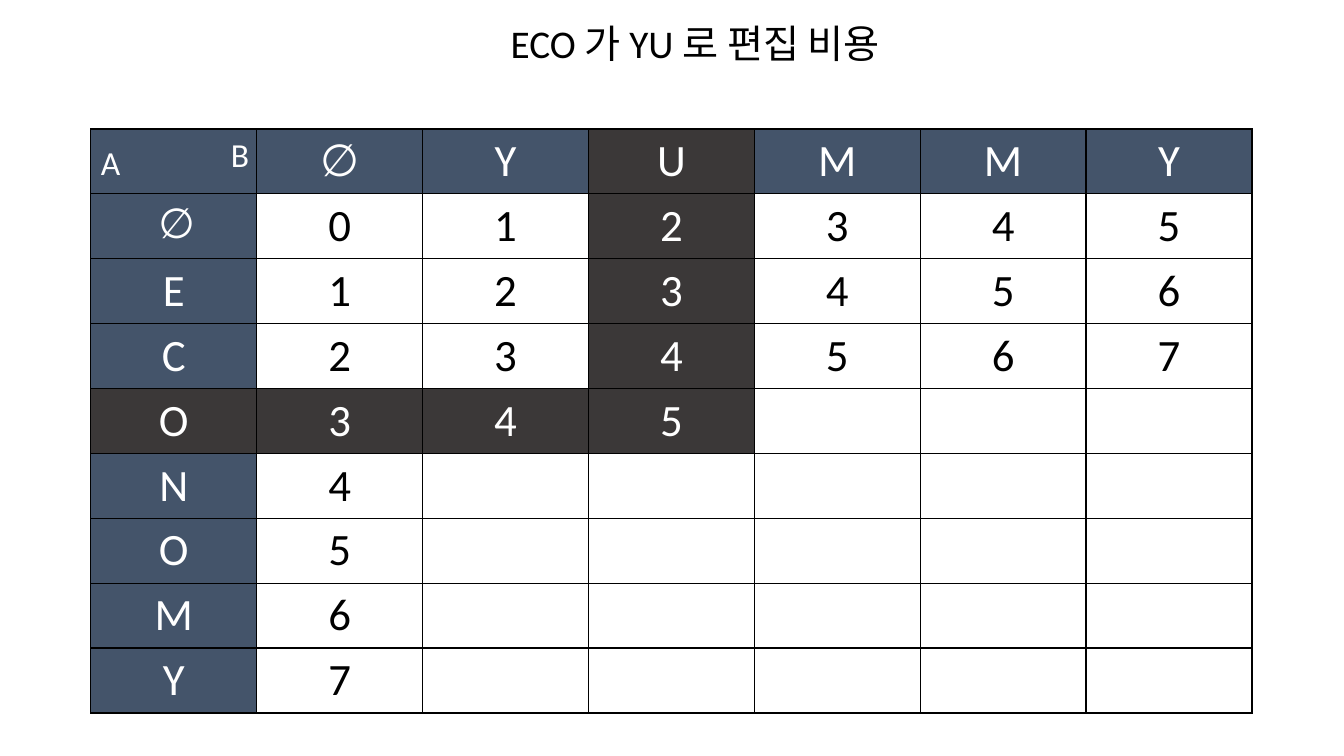
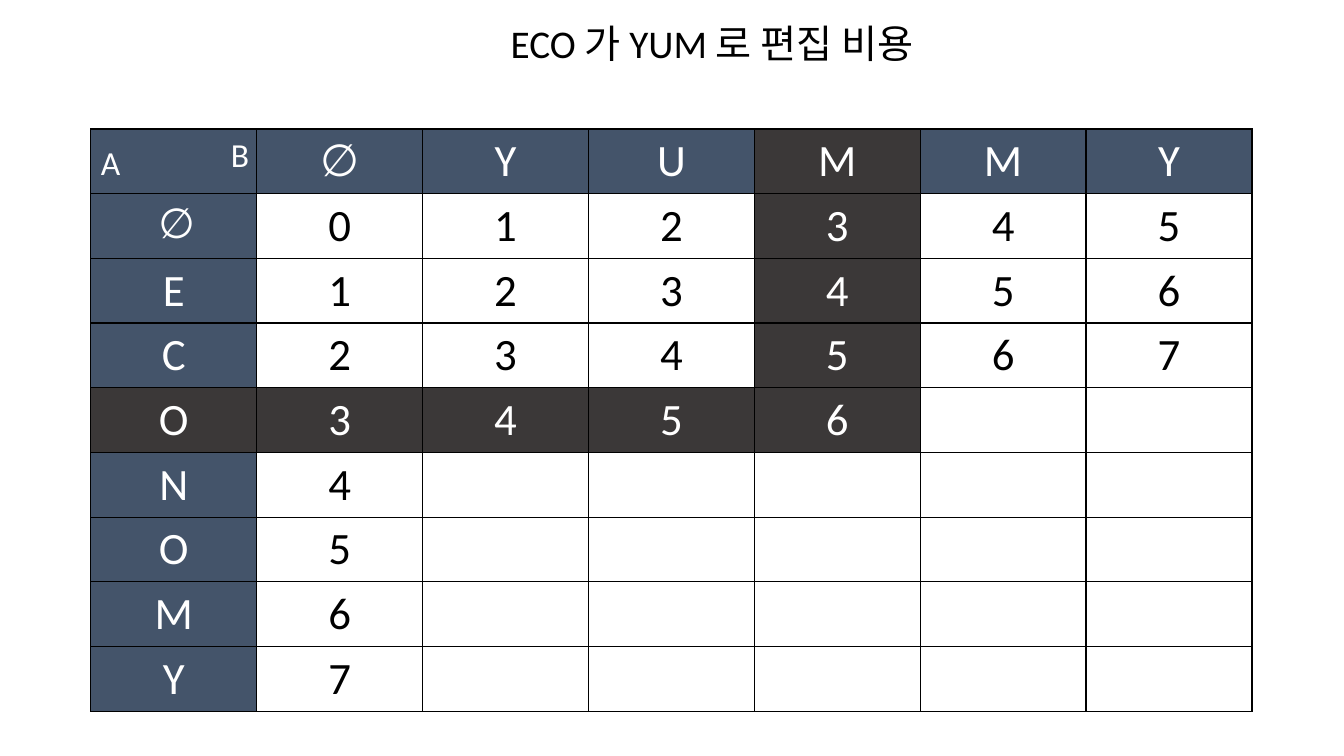
import pptx
import pptx.dml.color
import pptx.enum.text
import pptx.oxml
import pptx.oxml.ns
import pptx.util

Cm = pptx.util.Cm
ALIGN = pptx.enum.text.PP_ALIGN

HEADER, HIGHLIGHT = "44546A", "3B3838"
WHITE, BLACK = "FFFFFF", "000000"
FONT = "Calibri"
SOURCE, TARGET = "∅ECONOMY", "∅YUMMY"
ACTIVE_ROW = 3
COL_W, ROW_H = 4.18, 1.63


def rgb(value):
    return pptx.dml.color.RGBColor.from_string(value)


def add_run(tf, text, size=32, color=BLACK, align=ALIGN.LEFT):
    """Append a run to the first paragraph of a text frame."""
    p = tf.paragraphs[0]
    p.alignment = align
    r = p.add_run()
    r.text = text
    r.font.size = pptx.util.Pt(size)
    r.font.name = FONT
    r.font.color.rgb = rgb(color)


def add_text(s, text, x, y, w, h, wrap=False, **style):
    tf = s.shapes.add_textbox(Cm(x), Cm(y), Cm(w), Cm(h)).text_frame
    tf.word_wrap = wrap
    add_run(tf, text, **style)


def add_borders(cell):
    tc_pr = cell._tc.get_or_add_tcPr()
    for side in "LRTB":
        tc_pr.append(pptx.oxml.parse_xml(
            f'<a:ln{side} {pptx.oxml.ns.nsdecls("a")} w="12700"><a:solidFill>'
            f'<a:srgbClr val="{BLACK}"/></a:solidFill></a:ln{side}>'))


def format_cell(cell, text, fill=None, size=32):
    add_borders(cell)
    if fill:
        cell.fill.solid()
        cell.fill.fore_color.rgb = rgb(fill)
    else:
        cell.fill.background()
    if text:
        add_run(cell.text_frame, text, size=size,
                color=WHITE if fill else BLACK, align=ALIGN.CENTER)


def cost_text(i, j, step):
    """Edit cost known at this step: full rows above the active one, then column 0."""
    last = len(TARGET) if i < ACTIVE_ROW else step if i == ACTIVE_ROW else 0
    return str(i + j) if j <= last else ""


def add_cost_table(s, x, y, step):
    rows, cols = len(SOURCE) + 1, len(TARGET) + 1
    table = s.shapes.add_table(rows, cols, Cm(x), Cm(y),
                               Cm(COL_W * cols), Cm(ROW_H * rows)).table
    table.first_row = table.horz_banding = False
    for col in table.columns:
        col.width = Cm(COL_W)
    for row in table.rows:
        row.height = Cm(ROW_H)

    format_cell(table.cell(0, 0), "", HEADER)
    for j, letter in enumerate(TARGET):
        format_cell(table.cell(0, j + 1), letter, HIGHLIGHT if j == step else HEADER)
    for i, letter in enumerate(SOURCE):
        head = table.cell(i + 1, 0)
        if i == 0:
            add_run(head.text_frame, " ", size=18, color=WHITE, align=ALIGN.CENTER)
        format_cell(head, letter, HIGHLIGHT if i == ACTIVE_ROW else HEADER,
                    size=32 if i else 30)
        for j in range(len(TARGET)):
            active = (j == step and i <= ACTIVE_ROW) or (i == ACTIVE_ROW and j <= step)
            format_cell(table.cell(i + 1, j + 1), cost_text(i, j, step),
                        HIGHLIGHT if active else None)

    add_text(s, "A", x, y + 0.2, 1, 1.28, size=24, color=WHITE)
    add_text(s, "B", x + COL_W - 0.9, y, 0.96, 1.28, size=24, color=WHITE)


def add_step_slide(prs, step, title_w):
    s = prs.slides.add_slide(prs.slide_layouts[6])
    add_cost_table(s, 2.29, 3.25, step)
    title = f"{SOURCE[1:ACTIVE_ROW + 1]} 가 {TARGET[1:step + 1]} 로 편집 비용"
    # The title breaks before its last word.
    add_text(s, title, 12.62, 0.36, title_w, 1.45, wrap=True, size=28)


def main():
    prs = pptx.Presentation()
    prs.slide_width, prs.slide_height = Cm(33.87), Cm(19.05)
    for step, title_w in ((2, 10.4), (3, 11.28)):
        add_step_slide(prs, step, title_w)
    prs.save("out.pptx")


if __name__ == "__main__":
    main()
